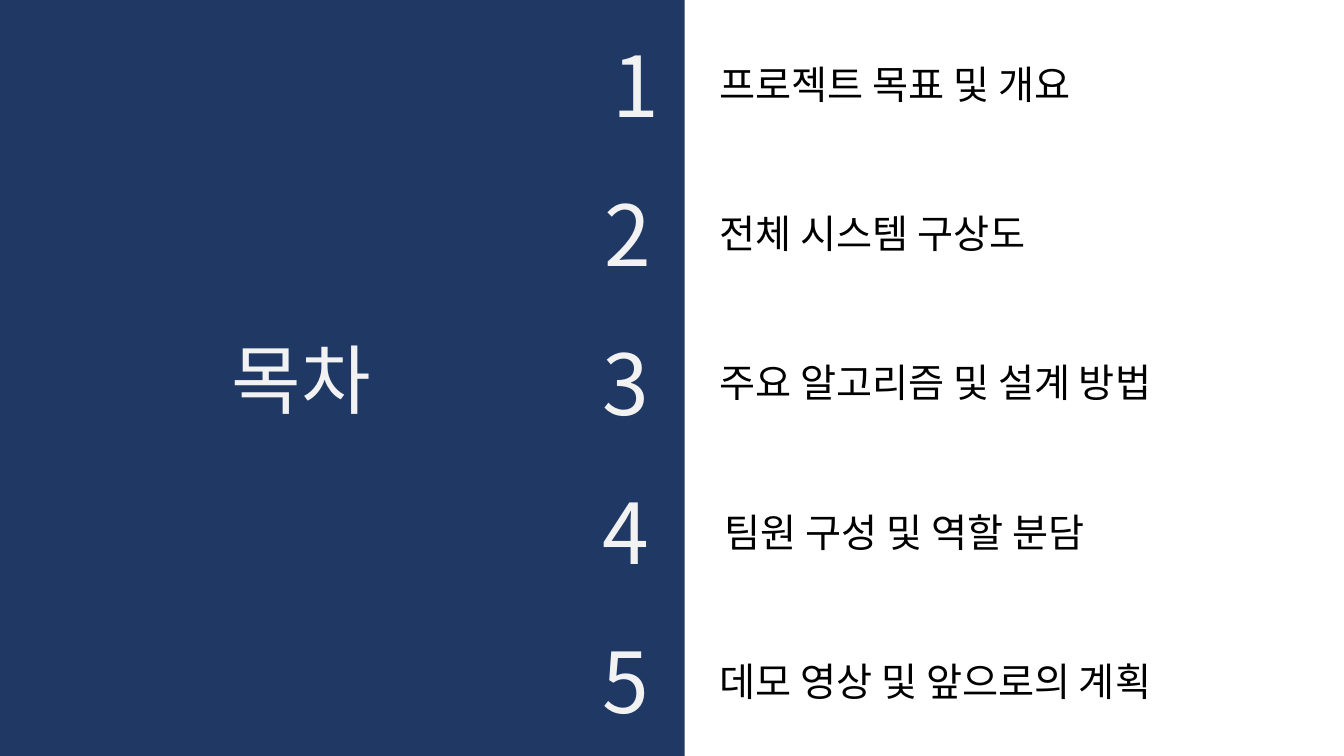
from lxml import etree
from pptx import Presentation
from pptx.dml.color import RGBColor
from pptx.enum import shapes, text
from pptx.oxml import ns
from pptx.util import Inches, Pt

FONT = "Noto Sans CJK KR"
COLORS = {"navy": "203864", "light": "F2F2F2", "black": "000000"}
ROW_PITCH = 1.48
LABEL_DROP = 0.27
AGENDA = [
    ("1", 5.98, 0.63, "프로젝트 목표 및 개요", 7.04, 3.84),
    ("2", 5.9, 0.79, "전체 시스템 구상도", 7.04, 3.37),
    ("3", 5.88, 0.81, "주요 알고리즘 및 설계 방법", 7.04, 4.77),
    ("4", 5.88, 0.81, "팀원 구성 및 역할 분담", 7.09, 4.62),
    ("5", 5.88, 0.79, "데모 영상 및 앞으로의 계획", 7.04, 5.04),
]


def paint(sp, color):
    sp.fill.solid()
    sp.fill.fore_color.rgb = RGBColor.from_string(COLORS[color])


def write(sp, words, size, color):
    tf = sp.text_frame
    tf.text = words
    tf.word_wrap = True
    tf.auto_size = text.MSO_AUTO_SIZE.SHAPE_TO_FIT_TEXT
    tf.vertical_anchor = text.MSO_ANCHOR.TOP
    p = tf.paragraphs[0]
    p.alignment = text.PP_ALIGN.LEFT
    r = p.runs[0]
    r.font.size = Pt(size)
    r.font.name = FONT
    r.font.color.rgb = RGBColor.from_string(COLORS[color])
    ea = etree.SubElement(r.font._element, ns.qn("a:ea"))
    ea.set("typeface", FONT)


def add_title_panel(s, left, top, width, height):
    panel = s.shapes.add_shape(shapes.MSO_SHAPE.RECTANGLE, Inches(left), Inches(top),
                               Inches(width), Inches(height))
    panel.shadow.inherit = False
    paint(panel, "navy")
    panel.line.fill.background()
    title = s.shapes.title
    title.element.addprevious(panel.element)
    title.left, title.top = Inches(left + 2.2), Inches(top + 3.25)
    title.width, title.height = Inches(1.64), Inches(1.01)
    paint(title, "navy")
    write(title, "목차", 54, "light")


def add_agenda(s, top):
    for i, (number, num_left, num_width, label, left, width) in enumerate(AGENDA):
        y = top + i * ROW_PITCH
        sp = s.shapes.add_textbox(Inches(num_left), Inches(y), Inches(num_width), Inches(1.11))
        paint(sp, "navy")
        write(sp, number, 60, "light")
        sp = s.shapes.add_textbox(Inches(left), Inches(y + LABEL_DROP), Inches(width), Inches(0.57))
        write(sp, label, 28, "black")


def main():
    prs = Presentation()
    prs.slide_width, prs.slide_height = Inches(13.33), Inches(7.5)
    s = prs.slides.add_slide(prs.slide_layouts[5])
    add_title_panel(s, 0, 0, 6.79, 7.5)
    add_agenda(s, 0.28)
    prs.save("out.pptx")


if __name__ == "__main__":
    main()
